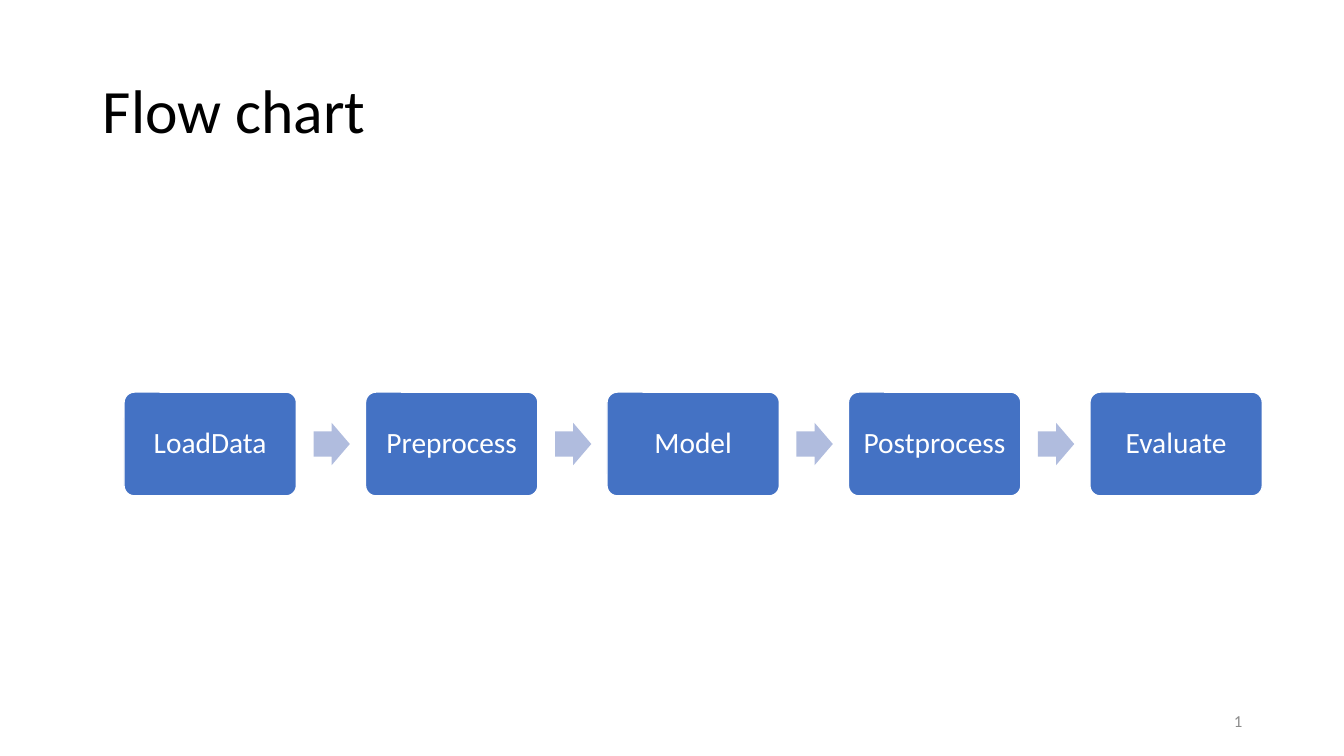
from dataclasses import dataclass

from pptx import Presentation
from pptx.dml.color import RGBColor
from pptx.enum.shapes import MSO_SHAPE
from pptx.enum.text import MSO_ANCHOR, PP_ALIGN

ROUNDED, ARROW = MSO_SHAPE.ROUNDED_RECTANGLE, MSO_SHAPE.RIGHT_ARROW
MIDDLE = MSO_ANCHOR.MIDDLE
LEFT, CENTER, RIGHT = PP_ALIGN.LEFT, PP_ALIGN.CENTER, PP_ALIGN.RIGHT
EMU_PER_PX = 9144
STEPS = ["LoadData", "Preprocess", "Model", "Postprocess", "Evaluate"]


@dataclass(frozen=True)
class Theme:
    """Colours, font and type sizes of the slide."""
    font: str = "Calibri"
    ink: str = "000000"
    muted: str = "8C8C8C"
    white: str = "FFFFFF"
    step: str = "4472C4"
    arrow: str = "B0BCDE"
    title_size: int = 44
    step_size: int = 21
    number_size: int = 12


THEME = Theme()


def px(n):
    """Turn px into EMU."""
    return round(n * EMU_PER_PX)


def place(sp, box):
    """Move a shape to a px box."""
    sp.left, sp.top, sp.width, sp.height = map(px, box)


def write(sp, text, size, color, align, spacing=1.0):
    """Put one formatted, vertically centred paragraph in a shape."""
    tf = sp.text_frame
    tf.word_wrap = True
    tf.vertical_anchor = MIDDLE
    p = tf.paragraphs[0]
    p.text = text
    p.alignment = align
    p.line_spacing = spacing
    p.font.name = THEME.font
    p.font.size = px(size * 100 / 72)
    p.font.color.rgb = RGBColor.from_string(color)


def add_block(s, kind, box, fill, adjustments):
    """Add a filled preset shape without line or shadow."""
    sp = s.shapes.add_shape(kind, *map(px, box))
    for i, value in enumerate(adjustments):
        sp.adjustments[i] = value
    sp.shadow.inherit = False
    sp.fill.solid()
    sp.fill.fore_color.rgb = RGBColor.from_string(fill)
    sp.line.fill.background()
    return sp


def add_title(s, box, text):
    """Place and format the title placeholder."""
    place(s.shapes.title, box)
    write(s.shapes.title, text, THEME.title_size, THEME.ink, LEFT, 0.9)


def add_step(s, box, text):
    """Add one labelled step of the flow."""
    sp = add_block(s, ROUNDED, box, THEME.step, [0.1])
    sp.line.color.rgb = RGBColor.from_string(THEME.white)
    sp.line.width = px(100 / 72)
    tf = sp.text_frame
    tf.margin_left = tf.margin_right = tf.margin_top = tf.margin_bottom = px(9)
    write(sp, text, THEME.step_size, THEME.white, CENTER, 0.9)


def add_flow(s, box, steps):
    """Spread the steps evenly over the box, with arrows between them."""
    x, y, w, h = box
    step_w, arrow_w, arrow_h, gap = 171, 36, 42, 17
    pitch = (w - step_w) / (len(steps) - 1)
    for i, text in enumerate(steps):
        left = x + i * pitch
        if i:
            arrow_box = (left - pitch + step_w + gap, y + (h - arrow_h) / 2, arrow_w, arrow_h)
            add_block(s, ARROW, arrow_box, THEME.arrow, [0.6, 0.5])
        add_step(s, (left, y, step_w, h), text)


def add_slide_number(s, box, number):
    """Add the slide number at the right of its box."""
    sp = s.shapes.add_textbox(*map(px, box))
    write(sp, str(number), THEME.number_size, THEME.muted, RIGHT)


def main():
    """Build and save the slide."""
    prs = Presentation()
    prs.slide_width, prs.slide_height = px(1333), px(750)
    s = prs.slides.add_slide(prs.slide_layouts[5])
    add_title(s, (92, 40, 1150, 145), "Flow chart")
    add_slide_number(s, (942, 695, 300, 40), 1)
    add_flow(s, (123, 389, 1129, 103), STEPS)
    prs.save("out.pptx")


if __name__ == "__main__":
    main()
